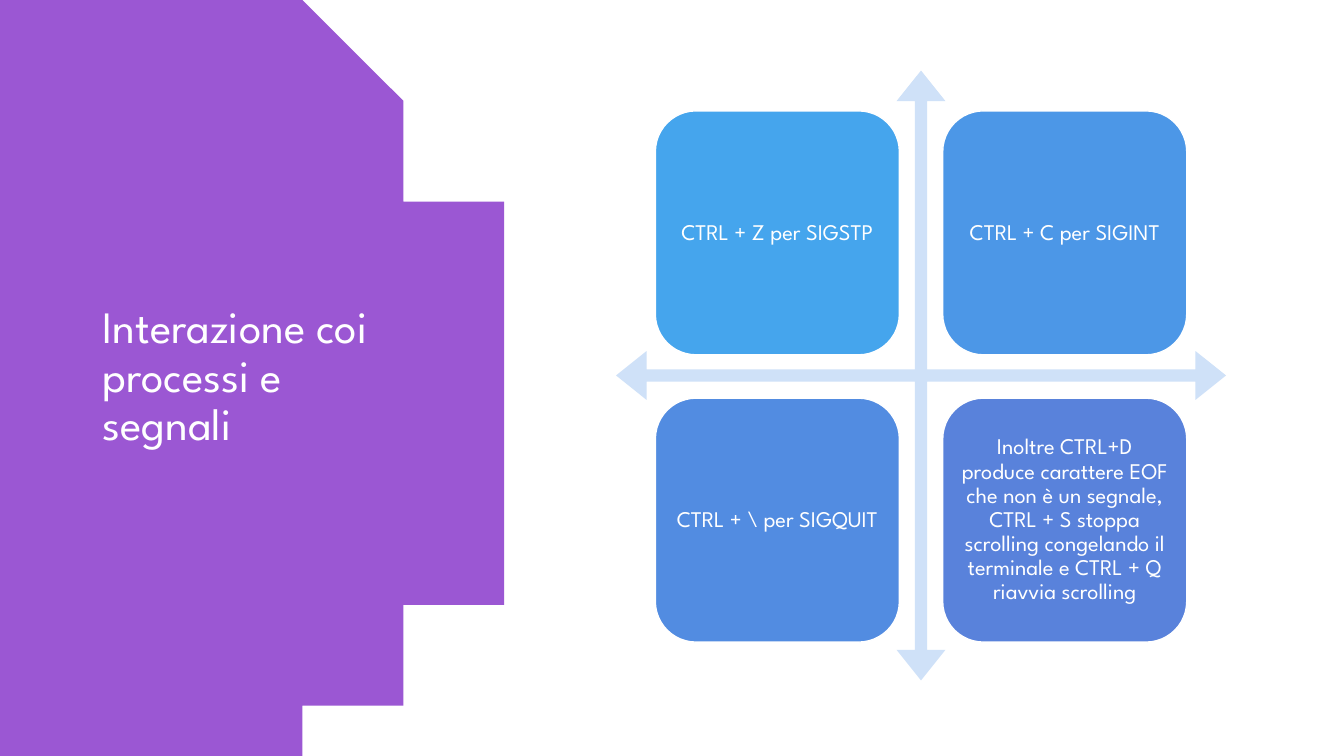
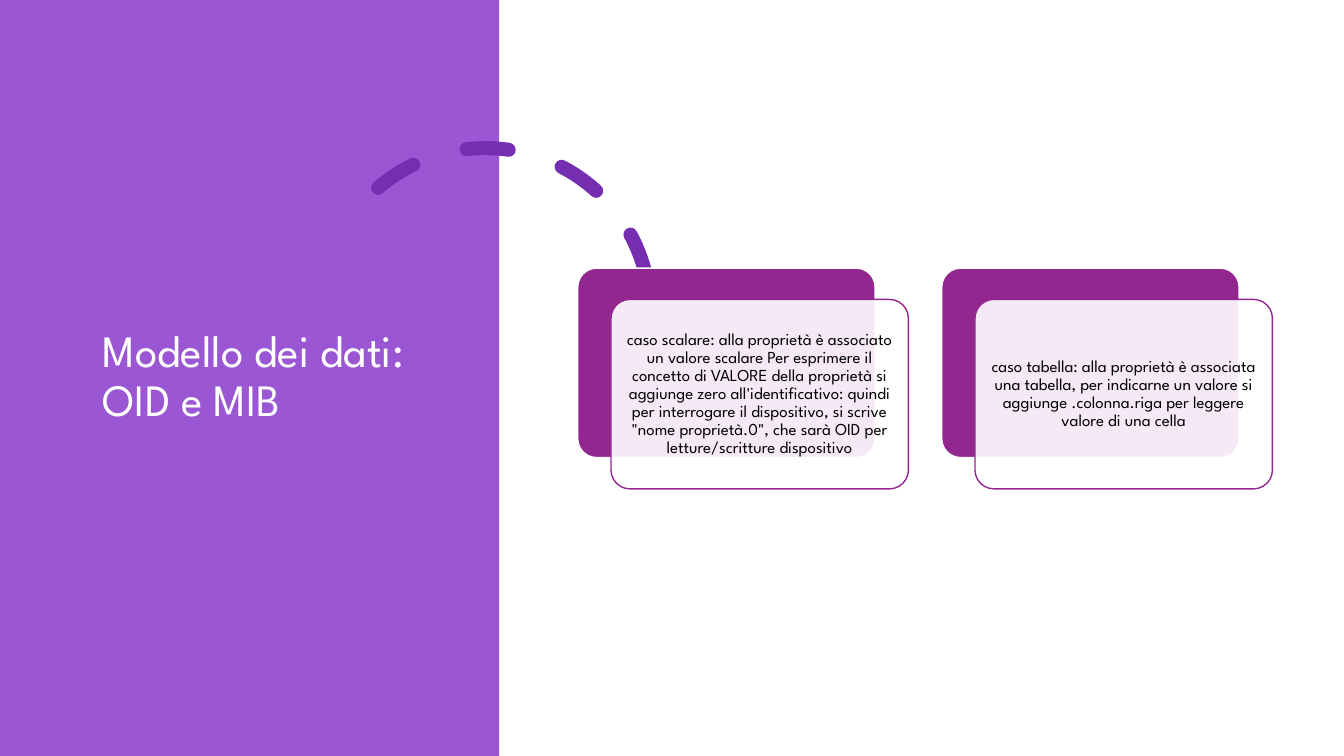
import math

from lxml import etree
from pptx import Presentation
from pptx.dml.color import RGBColor
from pptx.enum import dml, shapes, text
from pptx.oxml import ns
from pptx.util import Inches, Pt

FONT = "League Spartan"
WHITE = RGBColor(0xFF, 0xFF, 0xFF)
BLACK = RGBColor(0x00, 0x00, 0x00)
PURPLE = RGBColor(0x9B, 0x57, 0xD3)
VIOLET = RGBColor(0x76, 0x2E, 0xB1)
MAGENTA = RGBColor(0x92, 0x27, 0x8F)
PALE_BLUE = RGBColor(0xCF, 0xE1, 0xF8)

SLIDE_W, SLIDE_H = 13.33, 7.5

SIGNALS = [
    ("CTRL + Z per SIGSTP", RGBColor(0x45, 0xA5, 0xED)),
    ("CTRL + C per SIGINT", RGBColor(0x4C, 0x97, 0xE7)),
    ("CTRL + \\ per SIGQUIT", RGBColor(0x52, 0x8C, 0xE1)),
    ("Inoltre CTRL+D produce carattere EOF che non è un segnale, CTRL + S stoppa "
     "scrolling congelando il terminale e CTRL + Q riavvia scrolling",
     RGBColor(0x59, 0x82, 0xDB)),
]
CASES = [
    "caso scalare: alla proprietà è associato un valore scalare Per esprimere il "
    "concetto di VALORE della proprietà si aggiunge zero all'identificativo: quindi "
    "per interrogare il dispositivo, si scrive \"nome proprietà.0\", che sarà OID per "
    "letture/scritture dispositivo",
    "caso tabella: alla proprietà è associata una tabella, per indicarne un valore si "
    "aggiunge .colonna.riga per leggere valore di una cella",
]


def write(shape, words, *, size, color, align=text.PP_ALIGN.LEFT, inset=None):
    frame = shape.text_frame
    frame.word_wrap = True
    frame.vertical_anchor = text.MSO_ANCHOR.MIDDLE
    if inset is not None:
        frame.margin_left = frame.margin_right = Inches(inset)
        frame.margin_top = frame.margin_bottom = Inches(inset)
    paragraph = frame.paragraphs[0]
    paragraph.alignment = align
    paragraph.line_spacing = 0.9
    run = paragraph.add_run()
    run.text = words
    run.font.name = FONT
    run.font.size = Pt(size)
    run.font.color.rgb = color


def paint(shape, fill=None, line=None, width=1):
    shape.shadow.inherit = False
    if fill is None:
        shape.fill.background()
    else:
        shape.fill.solid()
        shape.fill.fore_color.rgb = fill
    if line is None:
        shape.line.fill.background()
    else:
        shape.line.color.rgb = line
        shape.line.width = Pt(width)


def add_shape(slide, preset, box, adjustments=(), **colors):
    shape = slide.shapes.add_shape(preset, *map(Inches, box))
    for index, value in enumerate(adjustments):
        shape.adjustments[index] = value
    paint(shape, **colors)
    return shape


def add_card(slide, box, corner, **colors):
    return add_shape(slide, shapes.MSO_SHAPE.ROUNDED_RECTANGLE, box, [corner], **colors)


def add_title(slide, words):
    title = slide.shapes.add_textbox(*map(Inches, (0.92, 0.7, 3.23, 6.09)))
    write(title, words, size=32, color=WHITE)


def add_round_panel(slide, right=4.93, radius=4.4):
    """Panel from the left edge, closed on the right by a circular arc."""
    middle = SLIDE_H / 2
    half_angle = math.asin(middle / radius)
    steps = 120
    angles = [half_angle * (2 * i / steps - 1) for i in range(steps + 1)]
    edge = [(right - radius + radius * math.cos(a), middle + radius * math.sin(a))
            for a in angles]
    outline = slide.shapes.build_freeform(0, 0, scale=Inches(1))
    outline.add_line_segments(edge + [(0, SLIDE_H)], close=True)
    paint(outline.convert_to_shape(), fill=PURPLE)


def add_dashed_arc(slide):
    arc = add_shape(slide, shapes.MSO_SHAPE.ARC, (3.18, 1.47, 3.27, 3.27),
                    [146.13, 0], line=VIOLET, width=10)
    arc.rotation = 345.8
    arc.line.dash_style = dml.MSO_LINE.DASH
    arc.line._get_or_add_ln().set("cap", "rnd")


def set_opacity(shape, percent):
    color = shape.fill._xPr.find(ns.qn("a:solidFill"))[0]
    etree.SubElement(color, ns.qn("a:alpha")).set("val", str(percent * 1000))


def build_signals(slide):
    add_round_panel(slide)
    add_title(slide, "Interazione coi processi e segnali")
    add_shape(slide, shapes.MSO_SHAPE.QUAD_ARROW, (6.11, 0.7, 6.05, 6.05),
              [0.02, 0.04, 0.05], fill=PALE_BLUE)
    side, pitch = 2.42, 2.85
    for index, (words, fill) in enumerate(SIGNALS):
        row, column = divmod(index, 2)
        box = (6.5 + column * pitch, 1.1 + row * pitch, side, side)
        card = add_card(slide, box, 0.1667, fill=fill, line=WHITE)
        write(card, words, size=16, color=WHITE,
              align=text.PP_ALIGN.CENTER, inset=0.07)


def build_data_model(slide):
    add_shape(slide, shapes.MSO_SHAPE.RECTANGLE, (0, 0, 4.95, SLIDE_H), fill=PURPLE)
    add_dashed_arc(slide)
    add_title(slide, "Modello dei dati: OID e MIB")
    width, height, pitch = 2.95, 1.88, 3.61
    for index, words in enumerate(CASES):
        left = 5.73 + index * pitch
        add_card(slide, (left, 2.66, width, height), 0.1, fill=MAGENTA, line=WHITE)
        front = add_card(slide, (left + 0.33, 2.97, width, height), 0.1,
                         fill=WHITE, line=MAGENTA)
        set_opacity(front, 90)
        write(front, words, size=12, color=BLACK,
              align=text.PP_ALIGN.CENTER, inset=0.05)


def main():
    deck = Presentation()
    deck.slide_width = Inches(SLIDE_W)
    deck.slide_height = Inches(SLIDE_H)
    blank = deck.slide_layouts[6]
    for build in (build_signals, build_data_model):
        build(deck.slides.add_slide(blank))
    deck.save("out.pptx")


if __name__ == "__main__":
    main()
